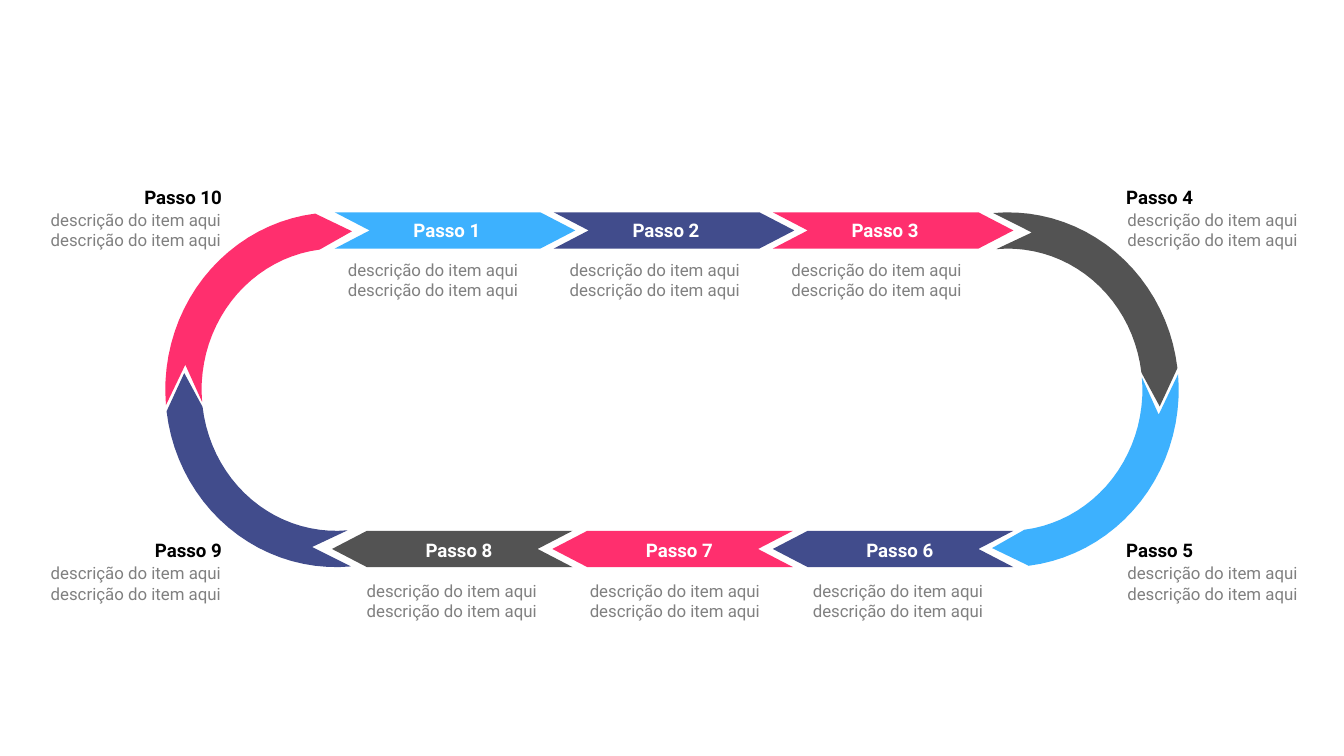
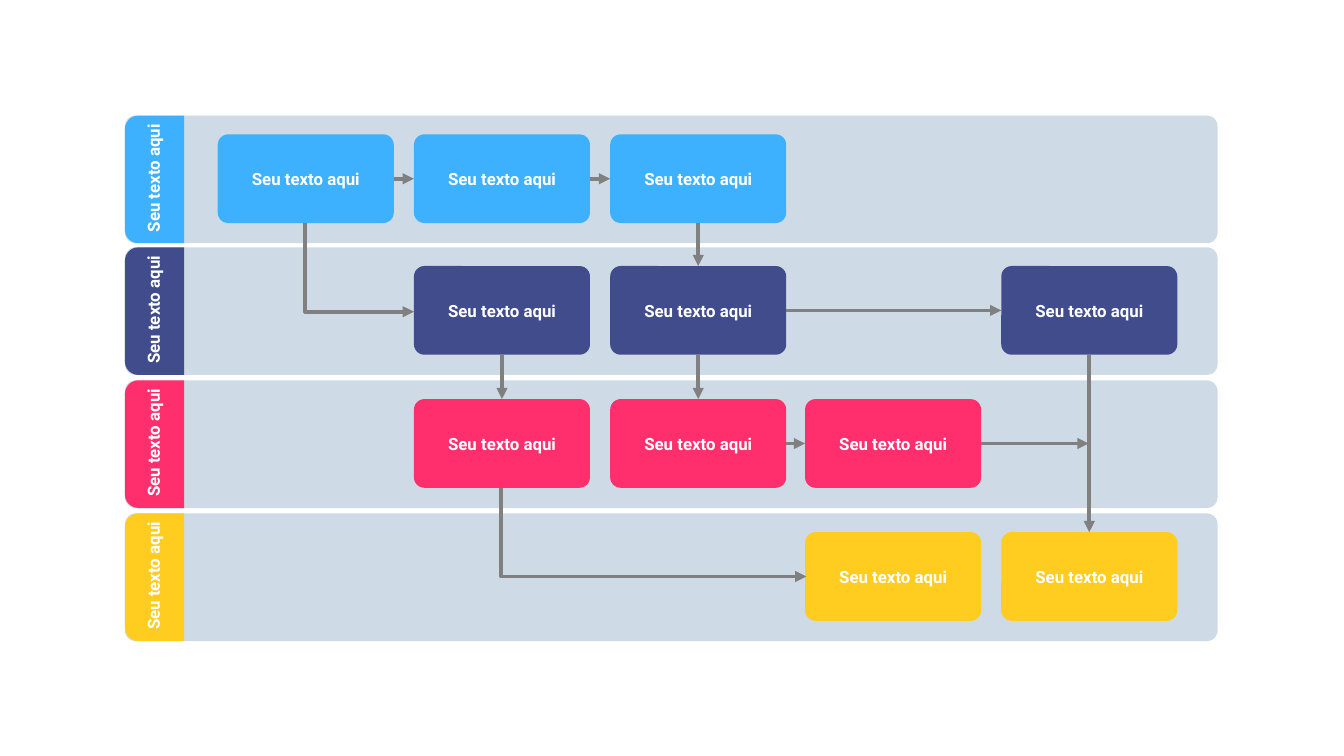
from dataclasses import dataclass
from math import cos, radians, sin

from lxml.etree import SubElement
from pptx import Presentation
from pptx.dml.color import RGBColor
from pptx.enum.shapes import MSO_CONNECTOR, MSO_SHAPE
from pptx.enum.text import MSO_ANCHOR, MSO_AUTO_SIZE, PP_ALIGN
from pptx.oxml.ns import qn
from pptx.util import Pt

PX = 9144
LEFT, CENTER, RIGHT = PP_ALIGN.LEFT, PP_ALIGN.CENTER, PP_ALIGN.RIGHT
TOP, MIDDLE = MSO_ANCHOR.TOP, MSO_ANCHOR.MIDDLE
GROW, FIXED = MSO_AUTO_SIZE.SHAPE_TO_FIT_TEXT, MSO_AUTO_SIZE.NONE
ROUNDED = MSO_SHAPE.ROUNDED_RECTANGLE
STRAIGHT = MSO_CONNECTOR.STRAIGHT
SIDE_TOP, SIDE_LEFT, SIDE_BOTTOM, SIDE_RIGHT = range(4)


@dataclass(frozen=True)
class Theme:
    font: str = "Roboto"
    sky: RGBColor = RGBColor.from_string("3DB1FE")
    navy: RGBColor = RGBColor.from_string("414C8C")
    pink: RGBColor = RGBColor.from_string("FF2F6E")
    dark: RGBColor = RGBColor.from_string("535353")
    yellow: RGBColor = RGBColor.from_string("FFCC1F")
    lane: RGBColor = RGBColor.from_string("CEDBE6")
    gray: RGBColor = RGBColor.from_string("808080")
    white: RGBColor = RGBColor.from_string("FFFFFF")
    black: RGBColor = RGBColor.from_string("000000")
    name_size: int = 10
    body_size: int = 9
    arrow_width: int = 2


theme = Theme()


def write(shape, words, size, color, bold=True, align=CENTER, anchor=TOP,
          grow=GROW, inset=(2, 2)):
    frame = shape.text_frame
    across, down = inset[0] * PX, inset[1] * PX
    frame_format = {"word_wrap": True, "auto_size": grow, "vertical_anchor": anchor,
                    "margin_left": across, "margin_right": across,
                    "margin_top": down, "margin_bottom": down}
    for name, value in frame_format.items():
        setattr(frame, name, value)
    para = frame.paragraphs[0]
    para.alignment = align
    span = para.add_run()
    span.text = words
    for name, value in {"name": theme.font, "size": Pt(size), "bold": bold}.items():
        setattr(span.font, name, value)
    span.font.color.rgb = color


def draw_outline(page, points, fill=None):
    corners = [(x * PX, y * PX) for x, y in points]
    builder = page.shapes.build_freeform(*corners[0])
    builder.add_line_segments(corners[1:], close=fill is not None)
    shape = builder.convert_to_shape()
    shape.shadow.inherit = False
    shape.line.fill.background()
    if fill is None:
        shape.fill.background()
    else:
        shape.fill.solid()
        shape.fill.fore_color.rgb = fill
    return shape


deck = Presentation()
deck.slide_width, deck.slide_height = 1000 * PX, int(562.5 * PX)
blank = deck.slide_layouts[6]

cycle_page = deck.slides.add_slide(blank)
band, notch, middle = 27, 26, 290
band_rows = [(249, 163, 1, 158, (theme.sky, theme.navy, theme.pink)),
             (754, -164, -1, 395, (theme.navy, theme.pink, theme.dark))]
for first, pitch, way, top, colors in band_rows:
    for index, color in enumerate(colors):
        tail = first + index * pitch
        tip = tail + way * 179
        shoulder = tip - way * notch
        center, bottom = top + band / 2, top + band
        draw_outline(cycle_page, [
            (tail, top), (shoulder, top), (tip, center), (shoulder, bottom),
            (tail, bottom), (tail + way * notch, center)], color)

outer, inner = (127, 132), (100, 105)
center_line = [(a + b) / 2 for a, b in zip(outer, inner)]
for quarter, color in enumerate((theme.dark, theme.sky, theme.navy, theme.pink)):
    hub = 750 if quarter < 2 else 250
    tail = 90 * quarter - 95
    sweep = range(tail, tail + 89, 4)
    trail = [(outer, angle) for angle in sweep]
    trail.append((center_line, tail + 101))
    trail += [(inner, angle) for angle in reversed(sweep)]
    trail.append((center_line, tail + 14))
    draw_outline(cycle_page, [
        (hub + radius[0] * cos(radians(angle)), middle + radius[1] * sin(radians(angle)))
        for radius, angle in trail], color)

steps = []
for index in range(3):
    steps.append((index + 1, 299 + 163 * index, 161, 249 + 165 * index, 188, CENTER))
    steps.append((index + 6, 636 - 164 * index, 399, 595 - 166 * index, 427, CENTER))
for numbers, name_x, note_x, align in [((4, 5), 836, 829, LEFT), ((10, 9), 100, 14, RIGHT)]:
    for number, name_y in zip(numbers, (136, 399)):
        steps.append((number, name_x, name_y, note_x, name_y + 15, align))
for number, name_x, name_y, note_x, note_y, align in sorted(steps):
    on_band = align == CENTER
    name_box = cycle_page.shapes.add_textbox(name_x * PX, name_y * PX, 67 * PX, 21 * PX)
    write(name_box, f"Passo {number}", theme.name_size,
          theme.white if on_band else theme.black, align=align, anchor=MIDDLE)
    note_box = cycle_page.shapes.add_textbox(note_x * PX, note_y * PX, 160 * PX, 40 * PX)
    write(note_box, "descrição do item aqui descrição do item aqui", theme.body_size,
          theme.gray, bold=False, align=LEFT if on_band else align, inset=(10, 5))

lanes_page = deck.slides.add_slide(blank)
label = "Seu texto aqui"
lanes = [(theme.sky, (0, 1, 2)), (theme.navy, (1, 2, 4)),
         (theme.pink, (1, 2, 3)), (theme.yellow, (3, 4))]
lane_left, lane_height, tab_right, bend = 93, 95, 137, 10
cards = {}
for row, (color, columns) in enumerate(lanes):
    top = 86 + 296 * row // 3
    bottom = top + lane_height
    slots = [(lane_left, top, 813, lane_height, 0.084, theme.lane)]
    slots += [(round(162 + 145.75 * column), top + 14, 131, 66, 0.118, color)
              for column in columns]
    shapes = []
    for x, y, width, height, corner, fill in slots:
        shape = lanes_page.shapes.add_shape(ROUNDED, x * PX, y * PX, width * PX, height * PX)
        shape.adjustments[0] = corner
        shape.shadow.inherit = False
        shape.fill.solid()
        shape.fill.fore_color.rgb = fill
        shape.line.fill.background()
        shapes.append(shape)
    for column, card in zip(columns, shapes[1:]):
        write(card, label, theme.body_size, theme.white, anchor=MIDDLE, grow=FIXED)
        cards[row, column] = card
    tab = [(tab_right, top), (tab_right, bottom)]
    for start, center_y in [(90, bottom - bend), (180, top + bend)]:
        tab += [(lane_left + bend + bend * cos(radians(angle)),
                 center_y + bend * sin(radians(angle)))
                for angle in range(start, start + 91, 15)]
    draw_outline(lanes_page, tab, color)
    title_box = lanes_page.shapes.add_textbox(69 * PX, (top + 37) * PX, 90 * PX, 19 * PX)
    title_box.rotation = 270
    write(title_box, label, theme.body_size, theme.white)

arrows = []
for x, y, end_x, end_y in [(227, 166, 308, 232), (373, 363, 600, 429)]:
    arrows.append(draw_outline(lanes_page, [(x, y), (x, end_y), (end_x, end_y)]))
links = [((0, 0), (0, 1)), ((0, 1), (0, 2)), ((0, 2), (1, 2)), ((1, 1), (2, 1)),
         ((1, 2), (2, 2)), ((1, 2), (1, 4)), ((2, 2), (2, 3)), ((1, 4), (3, 4)),
         ((2, 3), None)]
for source, target in links:
    connector = lanes_page.shapes.add_connector(STRAIGHT, 730 * PX, 330 * PX, 810 * PX, 330 * PX)
    across = target is None or source[0] == target[0]
    connector.begin_connect(cards[source], SIDE_RIGHT if across else SIDE_BOTTOM)
    if target:
        connector.end_connect(cards[target], SIDE_LEFT if across else SIDE_TOP)
    SubElement(connector._element.spPr, qn("a:effectLst"))
    arrows.append(connector)
for arrow in arrows:
    arrow.line.color.rgb = theme.gray
    arrow.line.width = Pt(theme.arrow_width)
    SubElement(arrow._element.spPr.find(qn("a:ln")), qn("a:tailEnd"), type="triangle")

deck.save("out.pptx")
